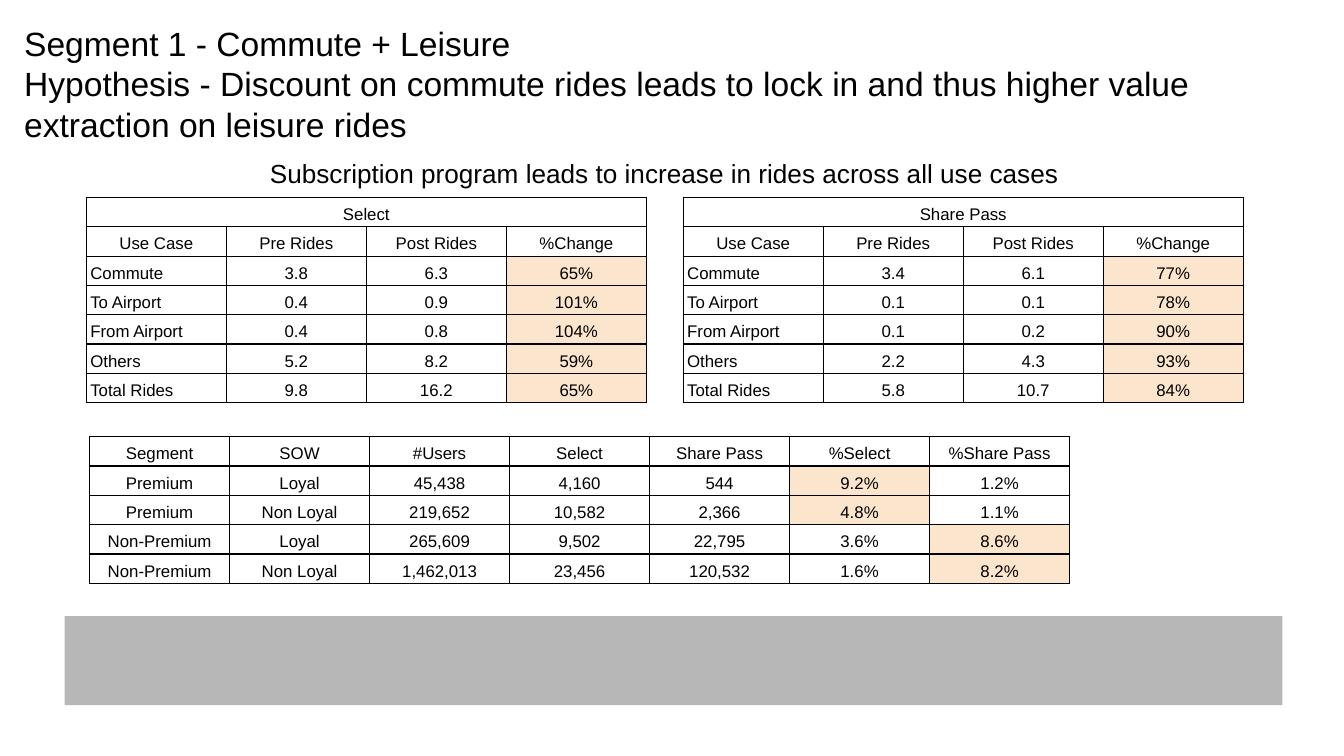
"""Build the ride subscription slide for the commute and leisure segment."""
from lxml import etree
from pptx import Presentation, util as u
from pptx.dml.color import RGBColor
from pptx.enum import shapes, text
from pptx.oxml import ns

BLACK = RGBColor(0x00, 0x00, 0x00)
GREY = RGBColor(0xB7, 0xB7, 0xB7)
PEACH = RGBColor(0xFC, 0xE5, 0xCD)
FONT = "Arial"
WIDTH = u.Inches(10)
HEIGHT = WIDTH * 9 // 16
COLUMN, ROW = 10.42, 3.88
LEFT, CENTER = text.PP_ALIGN.LEFT, text.PP_ALIGN.CENTER

TITLE = (
    "Segment 1 - Commute + Leisure\n"
    "Hypothesis - Discount on commute rides leads to lock in and thus "
    "higher value extraction on leisure rides"
)
SUBTITLE = "Subscription program leads to increase in rides across all use cases"
RIDE_HEADER = ["Use Case", "Pre Rides", "Post Rides", "%Change"]
SELECT_RIDES = [
    ["Commute", "3.8", "6.3", "65%"],
    ["To Airport", "0.4", "0.9", "101%"],
    ["From Airport", "0.4", "0.8", "104%"],
    ["Others", "5.2", "8.2", "59%"],
    ["Total Rides", "9.8", "16.2", "65%"],
]
SHARE_RIDES = [
    ["Commute", "3.4", "6.1", "77%"],
    ["To Airport", "0.1", "0.1", "78%"],
    ["From Airport", "0.1", "0.2", "90%"],
    ["Others", "2.2", "4.3", "93%"],
    ["Total Rides", "5.8", "10.7", "84%"],
]
SEGMENTS = [
    ["Segment", "SOW", "#Users", "Select", "Share Pass", "%Select", "%Share Pass"],
    ["Premium", "Loyal", "45,438", "4,160", "544", "9.2%", "1.2%"],
    ["Premium", "Non Loyal", "219,652", "10,582", "2,366", "4.8%", "1.1%"],
    ["Non-Premium", "Loyal", "265,609", "9,502", "22,795", "3.6%", "8.6%"],
    ["Non-Premium", "Non Loyal", "1,462,013", "23,456", "120,532", "1.6%", "8.2%"],
]


def area(left, top, width, height):
    """Turn percentages of the slide's size into lengths."""
    sizes = (WIDTH, HEIGHT, WIDTH, HEIGHT)
    return [int(size * share / 100) for size, share in zip(sizes, (left, top, width, height))]


def style_para(para, size, align, spacing):
    """Set a paragraph's alignment, spacing and font."""
    para.alignment = align
    para.line_spacing = spacing
    para.space_before = u.Pt(0)
    para.font.name = FONT
    para.font.size = u.Pt(size)
    para.font.color.rgb = BLACK


def style_text(frame, size, align, anchor):
    """Format every paragraph of a text frame alike."""
    frame.word_wrap = True
    frame.auto_size = text.MSO_AUTO_SIZE.NONE
    frame.vertical_anchor = anchor
    frame.margin_left = frame.margin_right = u.Inches(0.1)
    frame.margin_top = frame.margin_bottom = u.Inches(0.1)
    for para in frame.paragraphs:
        style_para(para, size, align, 1)


def add_title(page):
    """Fill and place the title placeholder."""
    title = page.shapes.title
    title.left, title.top, title.width, title.height = area(0.8, 1.25, 98, 9.25)
    title.text_frame.text = TITLE
    style_text(title.text_frame, 18, LEFT, text.MSO_ANCHOR.TOP)


def add_subtitle(page):
    """Add the centred line above the ride tables."""
    box = page.shapes.add_textbox(*area(6.4, 20.62, 86.1, 4.63))
    box.text_frame.text = SUBTITLE
    style_text(box.text_frame, 14, CENTER, text.MSO_ANCHOR.MIDDLE)


def add_bar(page):
    """Add the grey bar at the foot of the slide."""
    bar = page.shapes.add_shape(shapes.MSO_SHAPE.RECTANGLE, *area(4.82, 81.5, 90.6, 11.78))
    bar.shadow.inherit = False
    bar.fill.solid()
    bar.fill.fore_color.rgb = GREY
    bar.line.fill.background()


def add_borders(cell):
    """Draw a thin black line on each side of a cell."""
    properties = cell._tc.get_or_add_tcPr()
    for side in ("a:lnL", "a:lnR", "a:lnT", "a:lnB"):
        line = etree.SubElement(properties, ns.qn(side), w=str(u.Pt(0.75)))
        fill = etree.SubElement(line, ns.qn("a:solidFill"))
        etree.SubElement(fill, ns.qn("a:srgbClr"), val=str(BLACK))


def style_cell(cell, value, align, highlighted):
    """Write and format one table cell."""
    add_borders(cell)
    if highlighted:
        cell.fill.solid()
        cell.fill.fore_color.rgb = PEACH
    else:
        cell.fill.background()
    cell.text = value
    cell.vertical_anchor = text.MSO_ANCHOR.BOTTOM
    cell.margin_left = cell.margin_right = u.Inches(0.03)
    cell.margin_top = cell.margin_bottom = u.Inches(0.02)
    style_para(cell.text_frame.paragraphs[0], 9, align, 1.15)


def add_grid(page, left, top, rows, highlights, left_aligned=()):
    """Add a bordered table with equal columns and rows."""
    columns = len(rows[0])
    frame = page.shapes.add_table(
        len(rows), columns, *area(left, top, columns * COLUMN, len(rows) * ROW)
    )
    table = frame.table
    table.first_row = table.horz_banding = False
    for r, row in enumerate(rows):
        for c, value in enumerate(row):
            align = LEFT if (r, c) in left_aligned else CENTER
            style_cell(table.cell(r, c), value, align, (r, c) in highlights)
    return table


def add_rides(page, left, name, rides):
    """Add a ride table under a merged heading with its change column shaded."""
    rows = [[name, "", "", ""], RIDE_HEADER, *rides]
    body = range(2, len(rows))
    table = add_grid(page, left, 26.13, rows, {(r, 3) for r in body}, {(r, 0) for r in body})
    table.cell(0, 0).merge(table.cell(0, 3))


def main():
    """Build and save the deck."""
    deck = Presentation()
    deck.slide_width, deck.slide_height = WIDTH, HEIGHT
    page = deck.slides.add_slide(deck.slide_layouts.get_by_name("Title Only"))
    add_bar(page)
    add_title(page)
    add_rides(page, 6.42, "Select", SELECT_RIDES)
    add_rides(page, 50.83, "Share Pass", SHARE_RIDES)
    add_subtitle(page)
    add_grid(page, 6.66, 57.78, SEGMENTS, {(1, 5), (2, 5), (3, 6), (4, 6)})
    deck.save("out.pptx")


if __name__ == "__main__":
    main()
